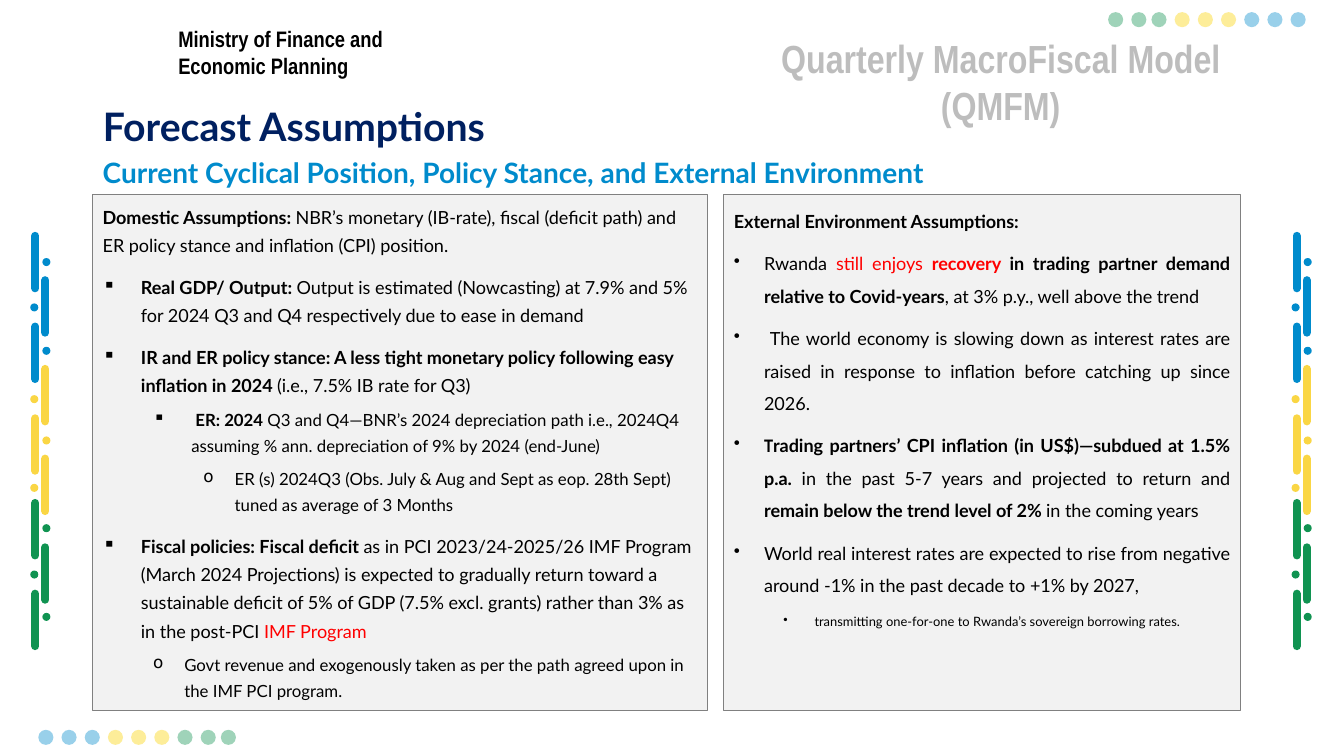
"""Build the Forecast Assumptions slide of the quarterly macro-fiscal model."""
from lxml.etree import SubElement
from pptx import Presentation
from pptx.dml.color import RGBColor
from pptx.enum.shapes import MSO_CONNECTOR, MSO_SHAPE
from pptx.enum.text import MSO_ANCHOR, MSO_AUTO_SIZE, PP_ALIGN
from pptx.oxml.ns import qn
from pptx.util import Inches, Pt

BLACK = RGBColor(0x00, 0x00, 0x00)
RED = RGBColor(0xFF, 0x00, 0x00)
NAVY = RGBColor(0x00, 0x20, 0x60)
BLUE = RGBColor(0x00, 0x8B, 0xCC)
YELLOW = RGBColor(0xFA, 0xD6, 0x44)
BRIGHT_YELLOW = RGBColor(0xFA, 0xD2, 0x01)
GREEN = RGBColor(0x10, 0x93, 0x51)
PANEL_FILL = RGBColor(0xF2, 0xF2, 0xF2)
PANEL_LINE = RGBColor(0x80, 0x80, 0x80)
LATO = "Lato"
NARROW = "Arial Narrow"

BAR_TOPS = (2.34, 2.78, 3.24, 3.66, 4.15, 4.55, 4.99, 5.43, 5.89)
DOT_TOPS = (2.56, 3.01, 3.44, 3.92, 4.33, 4.8, 5.2, 5.66, 6.08)
STRIP_COLOURS = (BLUE, YELLOW, GREEN)
EVEN, TIGHT = (0, 0.23, 0.46), (0, 0.23, 0.43)

DOMESTIC = [
    ([("Domestic Assumptions: ", {"bold": True}),
      ("NBR’s monetary (IB-rate), fiscal (deficit path) and ER policy stance and "
       "inflation (CPI) position.", {})], {}),
    ([("Real GDP/ Output: ", {"bold": True}),
      ("Output is estimated (Nowcasting) at 7.9% and 5% for 2024 Q3 and Q4 "
       "respectively due to ease in demand", {})],
     {"bullet": "▪", "indent": (0.38, -0.38), "before": 10}),
    ([("IR and ER policy stance: A less tight monetary policy following easy "
       "inflation in 2024 ", {"bold": True}),
      ("(i.e., 7.5% IB rate for Q3)", {})],
     {"bullet": "▪", "indent": (0.38, -0.38), "before": 10}),
    ([(" ER: 2024 ", {"bold": True, "size": 12}),
      ("Q3 and Q4—BNR’s 2024 depreciation path i.e., 2024Q4 assuming % ann. "
       "depreciation of 9% by 2024 (end-June)", {"size": 12})],
     {"bullet": "▪", "indent": (0.88, -0.38), "level": 1, "before": 5}),
    ([("ER (s) 2024Q3 (Obs. July & Aug and Sept as eop. 28th Sept) tuned as "
       "average of 3 Months", {"size": 12})],
     {"bullet": "o", "indent": (1.31, -0.31), "level": 2, "before": 5}),
    ([("Fiscal policies: Fiscal deficit ", {"bold": True}),
      ("as in PCI 2023/24-2025/26 IMF Program (March 2024 Projections) is expected "
       "to gradually return toward a sustainable deficit of 5% of GDP (7.5% excl. "
       "grants) rather than 3% as in the post-PCI ", {}),
      ("IMF Program", {"colour": RED})],
     {"bullet": "▪", "indent": (0.38, -0.38), "before": 10}),
    ([("Govt revenue and exogenously taken as per the path agreed upon in the IMF "
       "PCI program.", {"size": 12})],
     {"bullet": "o", "indent": (0.81, -0.31), "level": 1, "before": 5}),
]

JUSTIFIED = {"align": PP_ALIGN.JUSTIFY, "after": 4}
EXTERNAL_ITEM = {**JUSTIFIED, "bullet": "•", "indent": (0.3, -0.31), "before": 3}
EXTERNAL = [
    ([("External Environment Assumptions:", {"bold": True})], JUSTIFIED),
    ([("Rwanda ", {}), ("still enjoys ", {"colour": RED}),
      ("recovery ", {"colour": RED, "bold": True}),
      ("in trading partner demand relative to Covid-years", {"bold": True}),
      (", at 3% p.y., well above the trend", {})], EXTERNAL_ITEM),
    ([(" The world economy is slowing down as interest rates are raised in response "
       "to inflation before catching up since 2026.", {})], EXTERNAL_ITEM),
    ([("T", {"bold": True, "font": NARROW}),
      ("rading partners’ CPI inflation (in US$)—subdued at 1.5% p.a.", {"bold": True}),
      (" in the past 5-7 years and projected to return and ", {}),
      ("remain below the trend level of 2% ", {"bold": True}),
      ("in the coming years", {})], EXTERNAL_ITEM),
    ([("World real interest rates are expected to rise from negative around -1% in "
       "the past decade to +1% by 2027,", {})], EXTERNAL_ITEM),
    ([("transmitting one-for-one to Rwanda’s sovereign borrowing rates.",
       {"size": 9.2})], {**EXTERNAL_ITEM, "indent": (0.8, -0.31), "level": 1}),
]


def add_text(paragraph, text, size=12.9, font=LATO, colour=BLACK, bold=False, alpha=None):
    """Append a formatted run to a paragraph."""
    run = paragraph.add_run()
    run.text = text
    run.font.size = Pt(size)
    run.font.name = font
    run.font.bold = bold
    run.font.color.rgb = colour
    if alpha:
        set_alpha(run.font.fill, run._r, alpha)


def set_alpha(fill, element, percent):
    """Make the solid fill inside an element partly transparent."""
    fill.solid() if fill.type is None else None
    colour = next(element.iter(qn("a:srgbClr")))
    SubElement(colour, qn("a:alpha")).set("val", str(percent * 1000))


def format_paragraph(paragraph, spacing, bullet=None, indent=None, level=0,
                     before=0, after=0, align=PP_ALIGN.LEFT):
    """Set the spacing, alignment and bullet of a paragraph."""
    paragraph.level = level
    paragraph.alignment = align
    paragraph.line_spacing = spacing
    paragraph.space_before = Pt(before)
    paragraph.space_after = Pt(after)
    if bullet:
        properties = paragraph._p.get_or_add_pPr()
        properties.set("marL", str(Inches(indent[0])))
        properties.set("indent", str(Inches(indent[1])))
        SubElement(properties, qn("a:buChar")).set("char", bullet)


class SlideBuilder:
    """Hold the current slide and draw its elements in one style."""

    def __init__(self, slide):
        """Keep the slide to draw on."""
        self.slide = slide

    def title(self, text, box):
        """Place and format the title placeholder."""
        heading = self.slide.shapes.title
        heading.left, heading.top, heading.width, heading.height = map(Inches, box)
        self.fill_line(heading.text_frame, text, MSO_ANCHOR.BOTTOM, 0.9,
                       size=28, colour=NAVY, bold=True)

    def label(self, text, box, anchor=MSO_ANCHOR.TOP, spacing=1.0,
              align=PP_ALIGN.LEFT, **style):
        """Add a one-paragraph text box."""
        frame = self.slide.shapes.add_textbox(*map(Inches, box)).text_frame
        self.fill_line(frame, text, anchor, spacing, align, bold=True, **style)

    def fill_line(self, frame, text, anchor, spacing, align=PP_ALIGN.LEFT, **style):
        """Write a single paragraph into a text frame."""
        frame.word_wrap = True
        frame.auto_size = MSO_AUTO_SIZE.NONE
        frame.vertical_anchor = anchor
        format_paragraph(frame.paragraphs[0], spacing, align=align)
        add_text(frame.paragraphs[0], text, **style)

    def panel(self, box, content, spacing):
        """Add a grey panel holding bulleted paragraphs."""
        panel = self.slide.shapes.add_shape(MSO_SHAPE.RECTANGLE, *map(Inches, box))
        panel.shadow.inherit = False
        panel.fill.solid()
        panel.fill.fore_color.rgb = PANEL_FILL
        panel.line.color.rgb = PANEL_LINE
        panel.line.width = Pt(0.75)
        frame = panel.text_frame
        frame.word_wrap = True
        frame.vertical_anchor = MSO_ANCHOR.TOP
        for index, (runs, layout) in enumerate(content):
            paragraph = frame.add_paragraph() if index else frame.paragraphs[0]
            format_paragraph(paragraph, spacing, **layout)
            for text, style in runs:
                add_text(paragraph, text, **style)

    def dot(self, left, top, diameter, colour, alpha=None):
        """Add a borderless dot."""
        dot = self.slide.shapes.add_shape(MSO_SHAPE.OVAL, *map(Inches, (left, top, diameter, diameter)))
        dot.shadow.inherit = False
        dot.fill.solid()
        dot.fill.fore_color.rgb = colour
        dot.line.fill.background()
        if alpha:
            set_alpha(dot.fill, dot._element.spPr, alpha)

    def bar(self, x, top, colour):
        """Add a thick vertical line with round ends."""
        bar = self.slide.shapes.add_connector(
            MSO_CONNECTOR.STRAIGHT, *map(Inches, (x, top, x, top + 0.52)))
        bar.line.color.rgb = colour
        bar.line.width = Pt(5.75)
        bar.line._ln.set("cap", "rnd")
        SubElement(bar._element.spPr, qn("a:effectLst"))

    def strip(self, left):
        """Add a vertical strip of alternating bars and dots."""
        for index, (bar_top, dot_top) in enumerate(zip(BAR_TOPS, DOT_TOPS)):
            colour = STRIP_COLOURS[index // 3]
            self.bar(left + 0.05 + 0.1 * (index % 2), bar_top, colour)
            self.dot(left + 0.12 * (1 - index % 2), dot_top, 0.08, colour)

    def dot_row(self, top, groups):
        """Add a horizontal row of pale dots in groups of three."""
        for left, colour, offsets in groups:
            for offset in offsets:
                self.dot(left + offset, top, 0.15, colour, alpha=40)


def main():
    """Build and save the slide."""
    deck = Presentation()
    deck.slide_width, deck.slide_height = Inches(13.33), Inches(7.5)
    builder = SlideBuilder(deck.slides.add_slide(deck.slide_layouts[5]))
    builder.label("Quarterly MacroFiscal Model (QMFM)", (7.43, 0.29, 4.99, 0.57),
                  align=PP_ALIGN.CENTER, size=28, font=NARROW, alpha=26)
    builder.label("Ministry of Finance and Economic Planning", (1.67, 0.2, 2.25, 0.64),
                  size=16, font=NARROW)
    for left in (0.3, 12.81):
        builder.strip(left)
    builder.dot_row(7.24, ((0.38, BLUE, EVEN), (1.07, BRIGHT_YELLOW, EVEN), (1.76, GREEN, TIGHT)))
    builder.dot_row(0.12, ((10.99, GREEN, TIGHT), (11.65, BRIGHT_YELLOW, EVEN), (12.34, BLUE, EVEN)))
    builder.title("Forecast Assumptions", (0.92, 1.02, 11.5, 0.52))
    builder.panel((0.92, 1.93, 6.1, 5.12), DOMESTIC, 1.3)
    builder.label("Current Cyclical Position, Policy Stance, and External Environment",
                  (0.92, 1.54, 11.5, 0.38), MSO_ANCHOR.BOTTOM, 0.8, size=20, colour=BLUE)
    builder.panel((7.18, 1.93, 5.12, 5.12), EXTERNAL, 1.5)
    deck.save("out.pptx")


if __name__ == "__main__":
    main()
